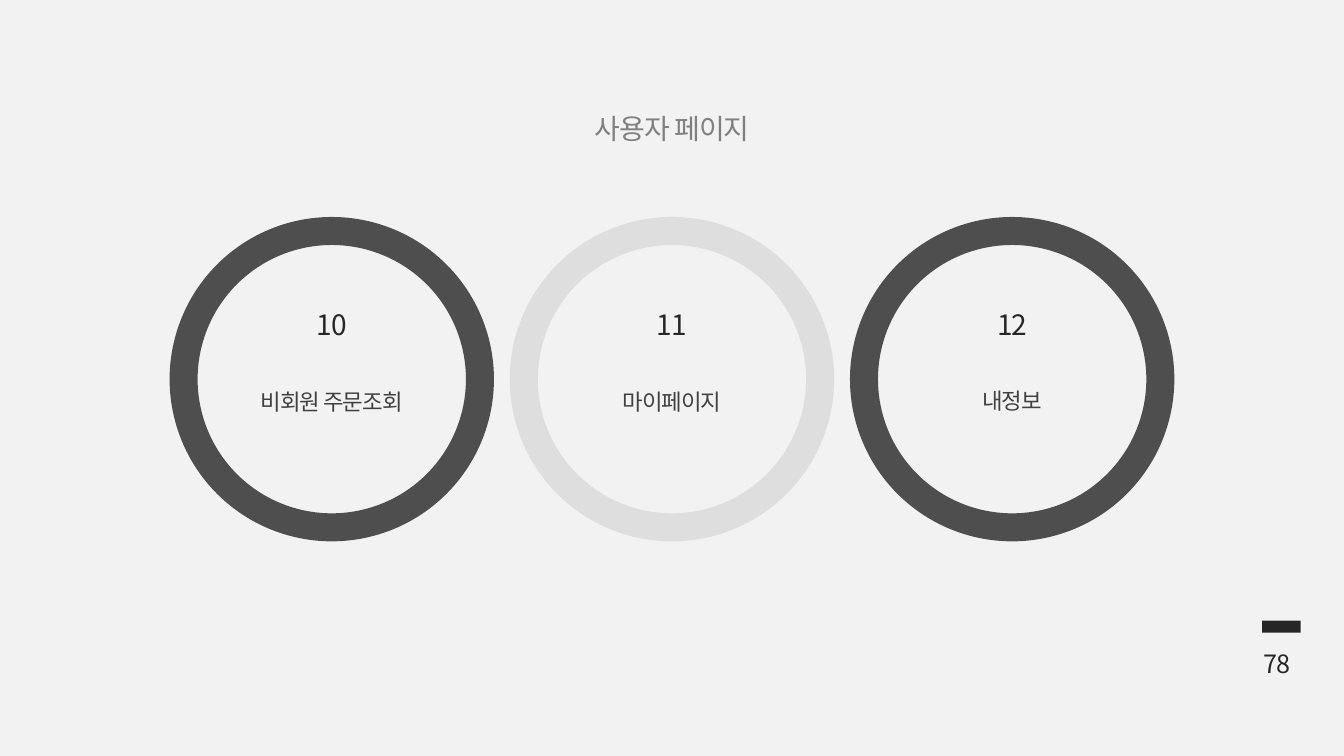
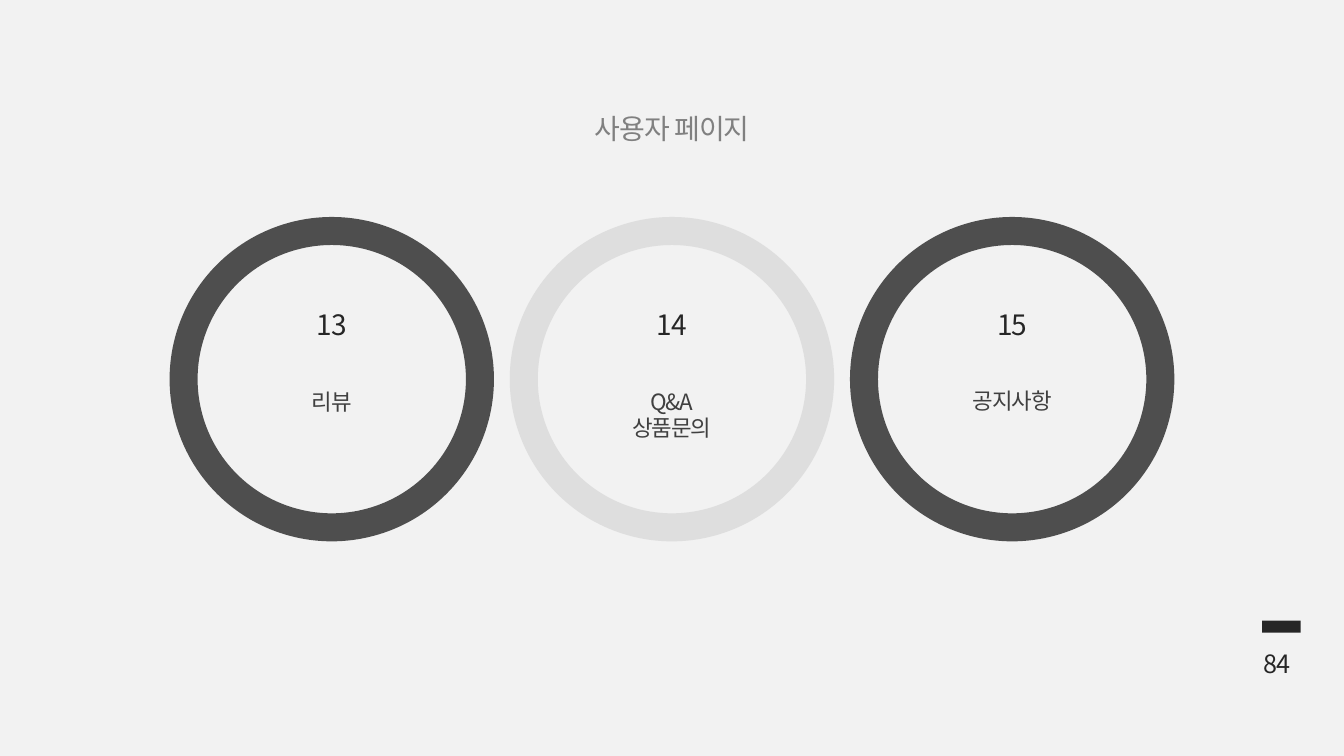
import pptx
import pptx.util
import pptx.dml.color
import pptx.enum.shapes
import pptx.enum.text
import pptx.oxml.ns
from lxml import etree

Pt = pptx.util.Pt
ALIGN = pptx.enum.text.PP_ALIGN
SHAPE = pptx.enum.shapes.MSO_SHAPE
qn = pptx.oxml.ns.qn

FONT = "Noto Sans CJK KR"
COLORS = {
    "background": "F2F2F2",
    "dark": "262626",
    "light": "D9D9D9",
    "label": "404040",
    "title": "808080",
}
SLIDE_WIDTH, SLIDE_HEIGHT = 960, 540
RING_SIZE, RING_PITCH = 211.7, 243
RING_STYLES = [("dark", 155.5, 107.3), ("light", 155.5, 107.3), ("dark", 170.6, 106.5)]

TITLE = "사용자 페이지"
SECTIONS = [
    ("78", [("10", "비회원 주문조회"), ("11", "마이페이지"), ("12", "내정보")]),
    ("84", [("13", "리뷰"), ("14", "Q&A\n상품문의"), ("15", "공지사항")]),
]


def rgb(name):
    return pptx.dml.color.RGBColor.from_string(COLORS[name])


def add_text(slide, text, box, size, color, align=ALIGN.CENTER):
    textbox = slide.shapes.add_textbox(*map(Pt, box))
    frame = textbox.text_frame
    frame.word_wrap = True
    frame.margin_left = frame.margin_bottom = 0
    frame.margin_right = Pt(7.2 if align == ALIGN.RIGHT else 0)
    frame.margin_top = Pt(3.6 + 0.11 * size)
    frame.text = text
    for paragraph in frame.paragraphs:
        paragraph.alignment = align
        paragraph.line_spacing = Pt(1.16 * size)
        for run in paragraph.runs:
            run.font.size = Pt(size)
            run.font.name = FONT
            run.font.color.rgb = rgb(color)
            properties = run.font._element
            properties.set("spc", "-70")
            etree.SubElement(properties, qn("a:ea")).set("typeface", FONT)


def add_ring(slide, left, top, size, style, number, label):
    color, label_width, label_top = style
    ring = slide.shapes.add_shape(SHAPE.OVAL, Pt(left), Pt(top), Pt(size), Pt(size))
    ring.shadow.inherit = False
    ring.fill.background()
    ring.line.width = Pt(20)
    ring.line.color.rgb = rgb(color)
    stroke = ring.line._ln.find(".//" + qn("a:srgbClr"))
    etree.SubElement(stroke, qn("a:alpha")).set("val", "80000")

    center = left + size / 2
    label_height = 26.6 + 19.4 * label.count("\n")
    label_box = (center - label_width / 2, top + label_top, label_width, label_height)
    add_text(slide, label, label_box, 16, "label")
    add_text(slide, number, (center - 19.5, top + 49.7, 39, 31.7), 20, "dark")


def add_ring_row(slide, top, entries):
    row_width = RING_PITCH * (len(entries) - 1) + RING_SIZE
    row_left = (SLIDE_WIDTH - row_width) / 2
    for index, (style, (number, label)) in enumerate(zip(RING_STYLES, entries)):
        add_ring(slide, row_left + index * RING_PITCH, top, RING_SIZE, style, number, label)


def add_page_mark(slide, left, top, page):
    bar = slide.shapes.add_shape(SHAPE.RECTANGLE, Pt(left + 6.5), Pt(top), Pt(27.5), Pt(8.5))
    bar.shadow.inherit = False
    bar.fill.solid()
    bar.fill.fore_color.rgb = rgb("dark")
    bar.line.fill.background()
    add_text(slide, page, (left, top + 14.6, 33.8, 28.8), 18, "dark", ALIGN.RIGHT)


def add_section_slide(deck, page, entries):
    slide = deck.slides.add_slide(deck.slide_layouts[6])
    slide.background.fill.solid()
    slide.background.fill.fore_color.rgb = rgb("background")
    add_page_mark(slide, 895, 443.4, page)
    add_text(slide, TITLE, (227.5, 74.9, 505, 31.7), 20, "title")
    add_ring_row(slide, 165, entries)


def main():
    deck = pptx.Presentation()
    deck.slide_width = Pt(SLIDE_WIDTH)
    deck.slide_height = Pt(SLIDE_HEIGHT)
    for page, entries in SECTIONS:
        add_section_slide(deck, page, entries)
    deck.save("out.pptx")


if __name__ == "__main__":
    main()
